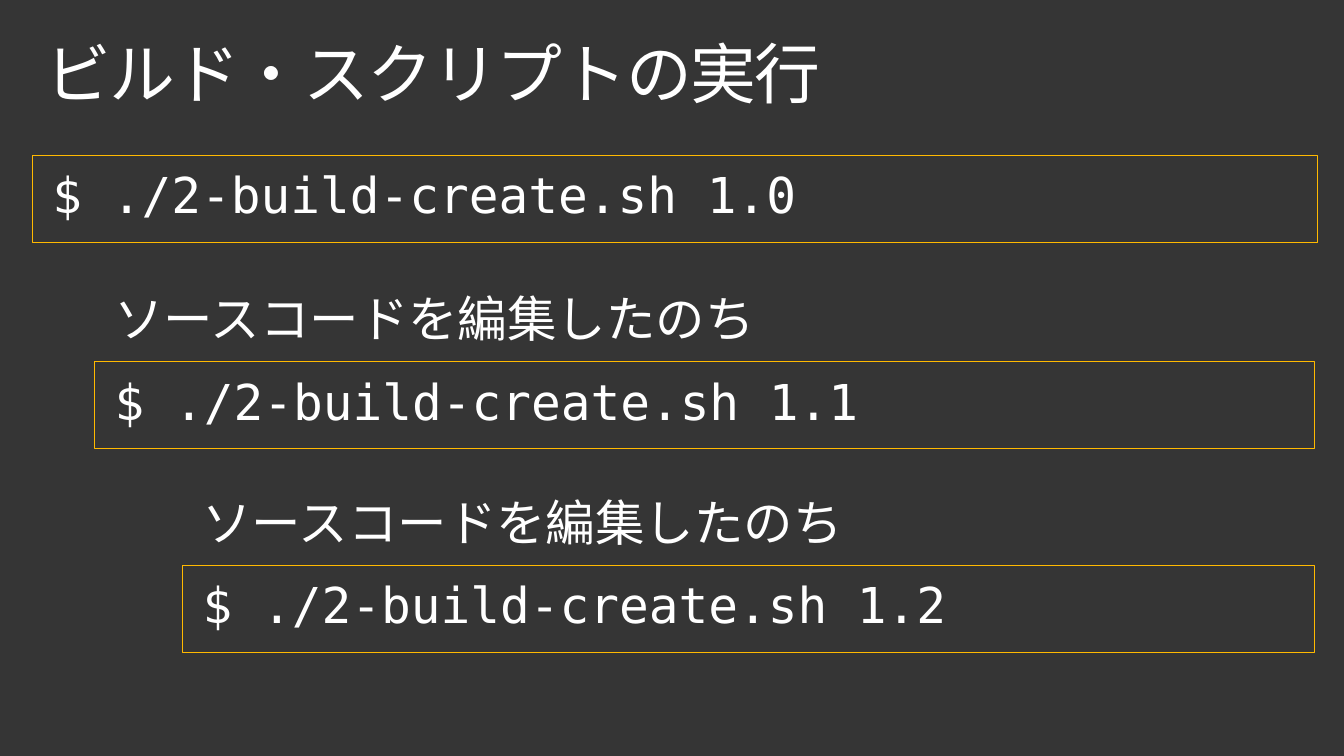
from dataclasses import dataclass

from pptx import Presentation
from pptx.dml.color import RGBColor
from pptx.enum.shapes import MSO_SHAPE
from pptx.enum.text import MSO_ANCHOR, MSO_AUTO_SIZE, PP_ALIGN
from pptx.oxml.ns import qn
from pptx.util import Pt

RECT = MSO_SHAPE.RECTANGLE
LEFT = PP_ALIGN.LEFT
TOP = MSO_ANCHOR.TOP
NO_FIT = MSO_AUTO_SIZE.NONE
GROW = MSO_AUTO_SIZE.SHAPE_TO_FIT_TEXT


@dataclass
class Theme:
    background: RGBColor = RGBColor(0x35, 0x35, 0x35)
    text: RGBColor = RGBColor(0xFF, 0xFF, 0xFF)
    accent: RGBColor = RGBColor(0xFF, 0xB9, 0x00)
    title_font: str = "Roboto"
    code_font: str = "DejaVu Sans Mono"
    label_font: str = "Noto Sans CJK JP"
    title_size: float = 48
    body_size: float = 36


class Deck:
    def __init__(self, prs, theme):
        self.theme = theme
        self.s = prs.slides.add_slide(prs.slide_layouts[5])
        fill = self.s.background.fill
        fill.solid()
        fill.fore_color.rgb = theme.background

    def set_text(self, sp, text, font, size, inset, fit, after=0):
        tf = sp.text_frame
        tf.text = text
        tf.word_wrap = True
        tf.auto_size = fit
        tf.vertical_anchor = TOP
        tf.margin_left = tf.margin_right = Pt(inset[0])
        tf.margin_top = tf.margin_bottom = Pt(inset[1])
        p = tf.paragraphs[0]
        p.alignment = LEFT
        p.line_spacing = 0.9
        p.space_before = Pt(0)
        p.space_after = Pt(after)
        r = p.runs[0]
        r.font.name = font
        r.font.size = Pt(size)
        r.font.color.rgb = self.theme.text
        rPr = r.font._element
        ea = rPr.makeelement(qn("a:ea"), {"typeface": self.theme.label_font})
        rPr.find(qn("a:latin")).addnext(ea)
        return r

    def title(self, text, x, y, w, h):
        sp = self.s.shapes.title
        sp.left, sp.top, sp.width, sp.height = Pt(x), Pt(y), Pt(w), Pt(h)
        t = self.theme
        r = self.set_text(sp, text, t.title_font, t.title_size, (11.5, 7.2), NO_FIT)
        r.font._element.set("spc", "-100")

    def body(self, sp, text, font):
        self.set_text(sp, text, font, self.theme.body_size, (14.4, 11.5), GROW, 6)

    def command(self, text, x, y, w, h):
        sp = self.s.shapes.add_shape(RECT, Pt(x), Pt(y), Pt(w), Pt(h))
        sp.shadow.inherit = False
        sp.fill.background()
        sp.line.color.rgb = self.theme.accent
        sp.line.width = Pt(0.75)
        self.body(sp, text, self.theme.code_font)

    def label(self, text, x, y, w, h):
        sp = self.s.shapes.add_textbox(Pt(x), Pt(y), Pt(w), Pt(h))
        self.body(sp, text, self.theme.label_font)


def main():
    prs = Presentation()
    prs.slide_width, prs.slide_height = Pt(979.2), Pt(550.8)
    deck = Deck(prs, Theme())
    deck.title("ビルド・スクリプトの実行", 21.6, 23, 936, 72)

    builds = [
        ("1.0", 23.8, 113, 936),
        ("1.1", 69.1, 263.5, 888.5),
        ("1.2", 133.2, 411.9, 824.4),
    ]
    for i, (version, x, y, w) in enumerate(builds):
        deck.command(f"$ ./2-build-create.sh {version}", x, y, w, 63.4)
        if i:
            deck.label("ソースコードを編集したのち", x, y - 60, 592, 62.6)

    prs.save("out.pptx")


if __name__ == "__main__":
    main()
